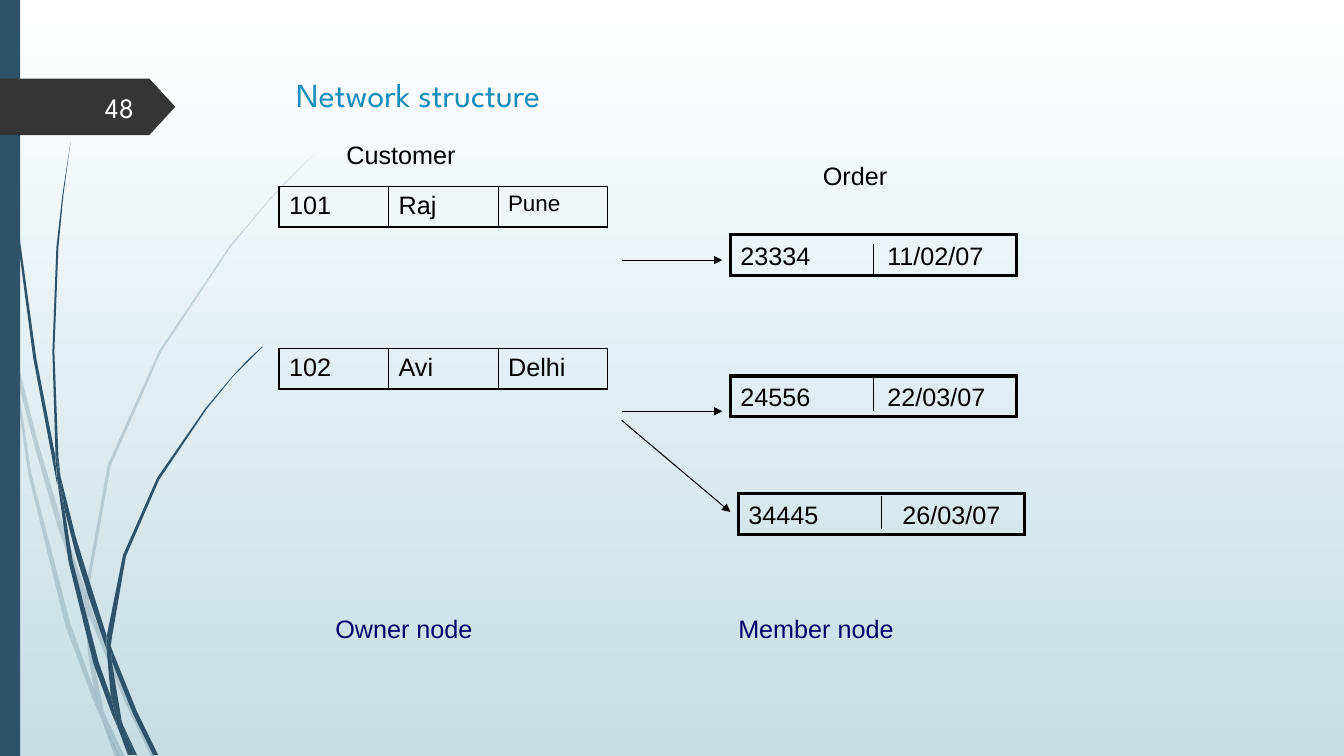
from dataclasses import dataclass
from lxml.etree import SubElement
from pptx import Presentation
from pptx.dml.color import RGBColor
from pptx.enum.shapes import MSO_CONNECTOR as Conn, MSO_SHAPE as Shape
from pptx.enum.text import MSO_ANCHOR as Anchor, MSO_AUTO_SIZE as Fit, PP_ALIGN as Align
from pptx.oxml.ns import qn
from pptx.util import Pt

PX = 9144  # 100 px to the inch


@dataclass(frozen=True)
class Theme:
    sky: str = "FFFFFF"
    mist: str = "C5DEE5"
    teal: str = "2E5369"
    tag: str = "353535"
    title: str = "178DBB"
    light: str = "FEFFFF"
    ink: str = "000000"
    navy: str = "000066"
    head: str = "League Spartan"
    body: str = "Arial"
    big: int = 24
    page: int = 20
    text: int = 18
    small: int = 16


T = Theme()

# Outlines of the grass blades, corner by corner
PALE = [
    [(11, 350), (8, 322), (0, 282), (0, 299), (10, 344)],
    [(57, 522), (84, 599), (85, 586), (62, 520), (36, 433), (14, 345), (17, 376), (36, 449)],
    [(92, 607), (88, 596), (88, 610), (123, 694), (150, 751), (155, 751), (127, 692)],
    [(119, 751), (124, 751), (105, 711)],
    [(93, 683), (70, 619), (31, 469), (17, 376), (11, 350), (28, 470), (65, 621), (92, 693),
     (101, 714), (99, 707)],
    [(84, 599), (87, 646), (93, 683), (96, 692), (105, 711), (103, 706), (91, 646),
     (88, 610), (88, 608)],
    [(88, 584), (110, 462), (160, 349), (229, 245), (268, 198), (290, 175), (312, 153),
     (289, 175), (268, 197), (228, 244), (158, 348), (107, 461), (85, 584), (85, 586),
     (88, 596)],
    [(101, 714), (114, 751), (119, 751)],
    [(88, 608), (88, 610), (88, 596), (85, 586), (84, 599)],
    [(96, 692), (93, 683), (99, 707), (101, 714), (118, 751), (119, 751), (105, 711)],
]
DARK = [
    [(7, 110), (17, 233), (33, 355), (56, 477), (57, 481), (55, 457), (55, 453), (36, 355),
     (19, 232), (8, 109), (5, 48), (3, 0), (3, 48)],
    [(88, 592), (106, 645), (106, 633), (106, 631), (93, 590), (75, 532), (60, 472),
     (64, 505), (75, 549)],
    [(113, 649), (110, 641), (111, 656), (132, 708), (152, 749), (157, 749), (136, 706)],
    [(110, 691), (98, 657), (72, 556), (64, 505), (57, 477), (68, 557), (93, 659),
     (111, 708), (117, 722), (116, 717)],
    [(60, 472), (58, 453), (54, 349), (58, 245), (63, 193), (70, 141), (62, 193), (56, 245),
     (52, 349), (55, 449), (60, 471)],
    [(133, 749), (136, 749), (122, 719)],
    [(57, 477), (64, 505), (60, 472), (55, 449), (55, 453)],
    [(111, 633), (125, 552), (158, 476), (205, 406), (231, 374), (246, 359), (261, 344),
     (260, 344), (245, 358), (231, 373), (204, 405), (156, 474), (122, 551), (106, 631),
     (110, 641)],
    [(117, 722), (127, 749), (131, 749)],
    [(106, 645), (110, 691), (116, 706), (122, 719), (121, 716), (111, 656), (109, 651)],
    [(106, 645), (109, 651), (111, 656), (110, 641), (106, 631), (106, 633)],
    [(116, 706), (110, 691), (116, 717), (117, 722), (130, 749), (133, 749), (122, 719)],
]


def px(*vals):
    return [round(v * PX) for v in vals]


def rgb(hue):
    return RGBColor.from_string(hue)


def write(para, text, size=T.text, hue=T.ink, font=T.body):
    run = para.add_run()
    run.text = text
    run.font.size, run.font.name = Pt(size), font
    run.font.color.rgb = rgb(hue)


def paint(shape, hue, alpha=None):
    shape.shadow.inherit = False
    shape.fill.solid()
    shape.fill.fore_color.rgb = rgb(hue)
    shape.line.fill.background()
    if alpha:
        color = shape.fill._xPr.find(qn("a:solidFill"))[0]
        SubElement(color, qn("a:alpha"), val=str(alpha * 1000))


def blade(slide, pts, alpha=None):
    form = slide.shapes.build_freeform(*pts[0], scale=float(PX))
    form.add_line_segments(pts[1:], close=True)
    paint(form.convert_to_shape(), T.teal, alpha)


def decor(slide, high):
    # Gradient, blades and left bar
    fill = slide.background.fill
    fill.gradient()
    fill.gradient_angle = 270
    for stop, hue in zip(fill.gradient_stops, (T.sky, T.mist)):
        stop.color.rgb = rgb(hue)
    for pts in PALE:
        blade(slide, pts, 20)
    for pts in DARK:
        blade(slide, pts)
    paint(slide.shapes.add_shape(Shape.RECTANGLE, *px(0, 0, 20, high)), T.teal)


def badge(slide, x, y, w, h):
    # Page tag with its number
    tag = slide.shapes.add_shape(Shape.PENTAGON, *px(x, y, w, h))
    tag.adjustments[0] = 0.46
    paint(tag, T.tag)
    frame = slide.shapes.add_textbox(*px(x + 58, y + 8, 85, 40)).text_frame
    frame.word_wrap, frame.vertical_anchor = True, Anchor.MIDDLE
    para = frame.paragraphs[0]
    para.alignment = Align.RIGHT
    write(para, "48", T.page, T.light, T.head)


def heading(slide, text, x, y, w, h):
    box = slide.shapes.title
    box.left, box.top, box.width, box.height = px(x, y, w, h)
    frame = box.text_frame
    frame.vertical_anchor, frame.auto_size = Anchor.TOP, Fit.NONE
    para = frame.paragraphs[0]
    para.alignment = Align.LEFT
    write(para, text, T.big, T.title, T.head)


def label(slide, text, x, y, w, hue=T.ink):
    frame = slide.shapes.add_textbox(*px(x, y, w, 40)).text_frame
    frame.word_wrap, frame.auto_size = False, Fit.SHAPE_TO_FIT_TEXT
    write(frame.paragraphs[0], text, hue=hue)


def edge(cell, side, width):
    line = SubElement(cell._tc.get_or_add_tcPr(), qn("a:" + side), w=str(Pt(width)))
    fill = SubElement(line, qn("a:solidFill"))
    SubElement(fill, qn("a:srgbClr"), val=T.ink)


def owner(slide, cells, x, y, w=326, h=40):
    # One customer record
    count = len(cells)
    table = slide.shapes.add_table(1, count, *px(x, y, w, h)).table
    table.first_row = table.horz_banding = False
    for i, (text, size) in enumerate(cells):
        table.columns[i].width = round(w * PX / count)
        cell = table.cell(0, i)
        edge(cell, "lnL", 0.45 if i else 1.08)
        edge(cell, "lnR", 0.45 if i < count - 1 else 1.08)
        edge(cell, "lnT", 1.08)
        edge(cell, "lnB", 1.08)
        cell.fill.background()
        write(cell.text_frame.paragraphs[0], text, size)


def link(slide, x1, y1, x2, y2, arrow=False):
    line = slide.shapes.add_connector(Conn.STRAIGHT, *px(x1, y1, x2, y2))
    line.line.width = Pt(0.75)
    line.line.color.rgb = rgb(T.ink)
    if arrow:
        SubElement(line.line._get_or_add_ln(), qn("a:tailEnd"), type="triangle")
    SubElement(line._element.spPr, qn("a:effectLst"))


def member(slide, code, date, x, y, tab, rule):
    # One order record, split by a thin rule
    box = slide.shapes.add_shape(Shape.RECTANGLE, *px(x, y, 284, 40))
    box.shadow.inherit = False
    box.fill.background()
    box.line.color.rgb, box.line.width = rgb(T.ink), Pt(2.25)
    SubElement(box.line._get_or_add_ln(), qn("a:miter"), lim="800000")
    frame = box.text_frame
    frame.word_wrap, frame.vertical_anchor = True, Anchor.MIDDLE
    para = frame.paragraphs[0]
    para.alignment = Align.LEFT
    tabs = SubElement(para._p.get_or_add_pPr(), qn("a:tabLst"))
    SubElement(tabs, qn("a:tab"), pos=str(tab * PX), algn="l")
    write(para, code + "\t" + date)
    link(slide, x + 142, y + rule, x + 142, y + rule + 33)


def diagram(slide, x, y):
    # Owners on the left, members on the right
    label(slide, "Customer", x + 57, y, 135)
    label(slide, "Order", x + 530, y + 21, 84)
    owner(slide, [("101", T.text), ("Raj", T.text), ("Pune", T.small)], x, y + 52)
    owner(slide, [(s, T.text) for s in ("102", "Avi", "Delhi")], x, y + 213)
    member(slide, "23334", "11/02/07", x + 448, y + 100, 146, 9)
    member(slide, "24556", "22/03/07", x + 448, y + 240, 146, 2)
    member(slide, "34445", "26/03/07", x + 456, y + 357, 153, 2)
    for top, right, end in ((125, 440, 125), (275, 440, 275), (284, 448, 375)):
        link(slide, x + 340, y + top, x + right, y + end, arrow=True)
    label(slide, "Owner node", x + 46, y + 471, 156, T.navy)
    label(slide, "Member node", x + 446, y + 471, 174, T.navy)


def main():
    deck = Presentation()
    deck.slide_width, deck.slide_height = px(1334, 750)
    slide = deck.slides.add_slide(deck.slide_layouts[5])
    decor(slide, 750)
    badge(slide, 0, 78, 174, 56)
    heading(slide, "Network structure", 284, 68, 975, 140)
    diagram(slide, 277, 133)
    deck.save("out.pptx")


if __name__ == "__main__":
    main()
